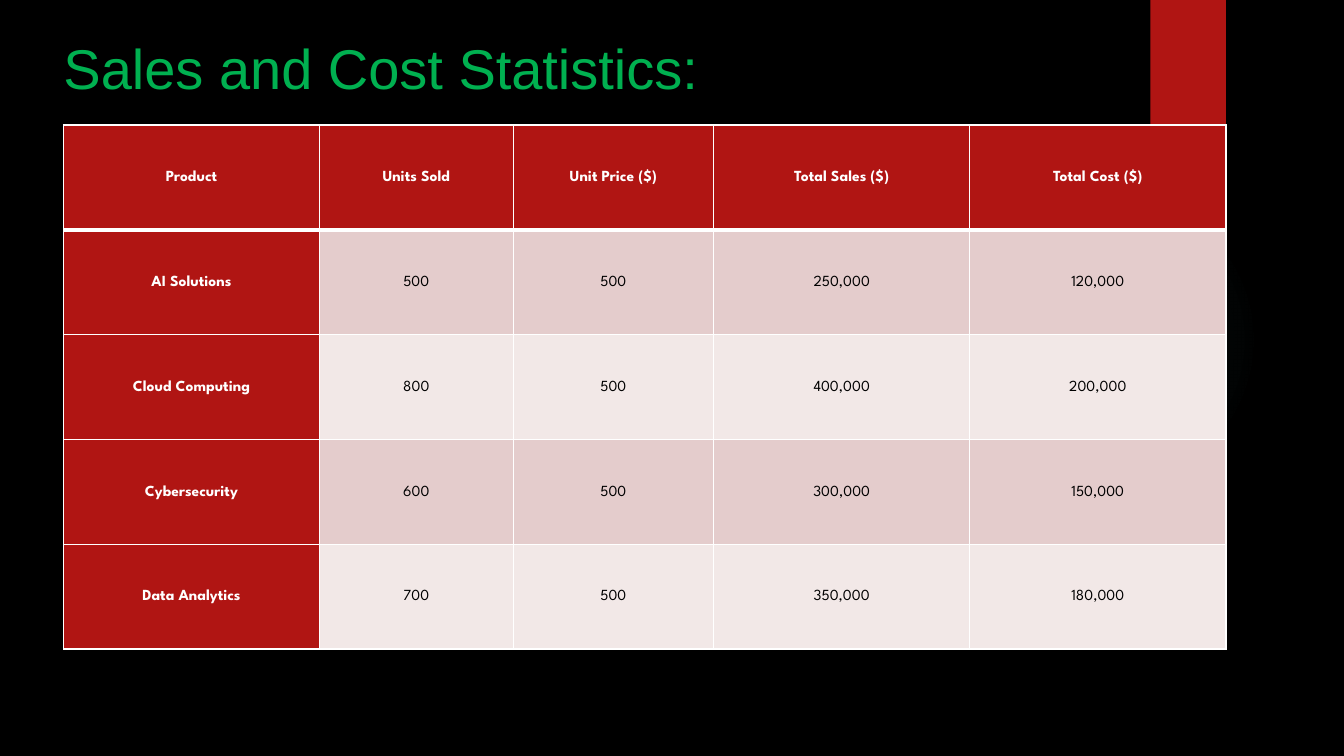
from dataclasses import dataclass
from lxml import etree
from pptx import Presentation
from pptx.dml.color import RGBColor as RGB
from pptx.enum.shapes import MSO_SHAPE as Shape
from pptx.enum.text import MSO_ANCHOR as Anchor, PP_ALIGN as Align
from pptx.oxml import parse_xml as to_xml
from pptx.oxml.ns import qn
from pptx.util import Inches, Pt

TITLE = "Sales and Cost Statistics:"
HEADS = ("Product", "Units Sold", "Unit Price ($)", "Total Sales ($)", "Total Cost ($)")
SALES = [
    ("AI Solutions", "500", "500", "250,000", "120,000"),
    ("Cloud Computing", "800", "500", "400,000", "200,000"),
    ("Cybersecurity", "600", "500", "300,000", "150,000"),
    ("Data Analytics", "700", "500", "350,000", "180,000"),
]
WIDTHS = (2.54, 1.92, 1.99, 2.54, 2.54)
ROW = 1.04
GLOW = [(0, 7), (36, 6), (69, 0)]


@dataclass(frozen=True)
class Theme:
    back: str = "000000"
    red: str = "B01513"
    dark: str = "E4CCCC"
    light: str = "F2E8E7"
    white: str = "FFFFFF"
    black: str = "000000"
    green: str = "00B050"
    teal: str = "50B9C1"
    head: str = "Arial"
    body: str = "League Spartan"
    big: int = 40
    small: int = 11


LOOK = Theme()


def paint(fill, tint):
    fill.solid()
    fill.fore_color.rgb = RGB.from_string(tint)


def style(para, face, size, tint, bold=False):
    font = para.font
    font.name, font.size, font.bold = face, Pt(size), bold
    font.color.rgb = RGB.from_string(tint)


def add_form(slide, kind, *box):
    form = slide.shapes.add_shape(kind, *map(Inches, box))
    form.shadow.inherit = False
    form.line.fill.background()
    return form


def add_glow(slide):
    glow = add_form(slide, Shape.OVAL, 9.41, 1.83, 3.08, 3.08)
    glow.fill.gradient()
    stops = "".join(
        f'<a:gs pos="{pos * 1000}"><a:srgbClr val="{LOOK.teal}">'
        f'<a:alpha val="{alpha * 1000}"/></a:srgbClr></a:gs>'
        for pos, alpha in GLOW
    )
    grad = to_xml(
        '<a:gradFill xmlns:a="http://schemas.openxmlformats.org/drawingml/2006/main">'
        f'<a:gsLst>{stops}</a:gsLst><a:path path="circle">'
        '<a:fillToRect l="50000" t="50000" r="50000" b="50000"/></a:path></a:gradFill>'
    )
    props = glow.element.spPr
    props.replace(props.find(qn("a:gradFill")), grad)


def add_edges(cell, base):
    props = cell._tc.get_or_add_tcPr()
    for side, width in zip("LRTB", (1, 1, 1, base)):
        line = etree.SubElement(props, qn(f"a:ln{side}"), w=str(Pt(width)))
        solid = etree.SubElement(line, qn("a:solidFill"))
        etree.SubElement(solid, qn("a:srgbClr"), val=LOOK.white)


def fill_cell(cell, text, row, col):
    label = row == 0 or col == 0
    add_edges(cell, 1 if row else 3)
    paint(cell.fill, LOOK.red if label else LOOK.dark if row % 2 else LOOK.light)
    cell.margin_left = cell.margin_right = Inches(0.01)
    cell.margin_top = cell.margin_bottom = Inches(0.01)
    cell.vertical_anchor = Anchor.MIDDLE
    cell.text = text
    para = cell.text_frame.paragraphs[0]
    para.alignment = Align.CENTER
    para.line_spacing, para.space_after = 1.07, Pt(8)
    style(para, LOOK.body, LOOK.small, LOOK.white if label else LOOK.black, label)


def add_sales(slide):
    rows = [HEADS, *SALES]
    box = (0.63, 1.24, sum(WIDTHS), ROW * len(rows))
    grid = slide.shapes.add_table(len(rows), len(HEADS), *map(Inches, box)).table
    for col, width in zip(grid.columns, WIDTHS):
        col.width = Inches(width)
    for row, texts in enumerate(rows):
        grid.rows[row].height = Inches(ROW)
        for col, text in enumerate(texts):
            fill_cell(grid.cell(row, col), text, row, col)


def add_title(slide):
    frame = slide.shapes.add_textbox(*map(Inches, (0.33, 0.06, 10.86, 1.28))).text_frame
    frame.word_wrap = True
    frame.vertical_anchor = Anchor.TOP
    frame.margin_left, frame.margin_top = Inches(0.3), Inches(0.27)
    frame.margin_right, frame.margin_bottom = 0, Inches(0.06)
    frame.text = TITLE
    style(frame.paragraphs[0], LOOK.head, LOOK.big, LOOK.green)


def main():
    deck = Presentation()
    deck.slide_width, deck.slide_height = Inches(13.33), Inches(7.5)
    slide = deck.slides.add_slide(deck.slide_layouts[6])
    paint(slide.background.fill, LOOK.back)
    add_glow(slide)
    paint(add_form(slide, Shape.RECTANGLE, 11.41, 0, 0.75, 1.25).fill, LOOK.red)
    add_sales(slide)
    add_title(slide)
    deck.save("out.pptx")


if __name__ == "__main__":
    main()
